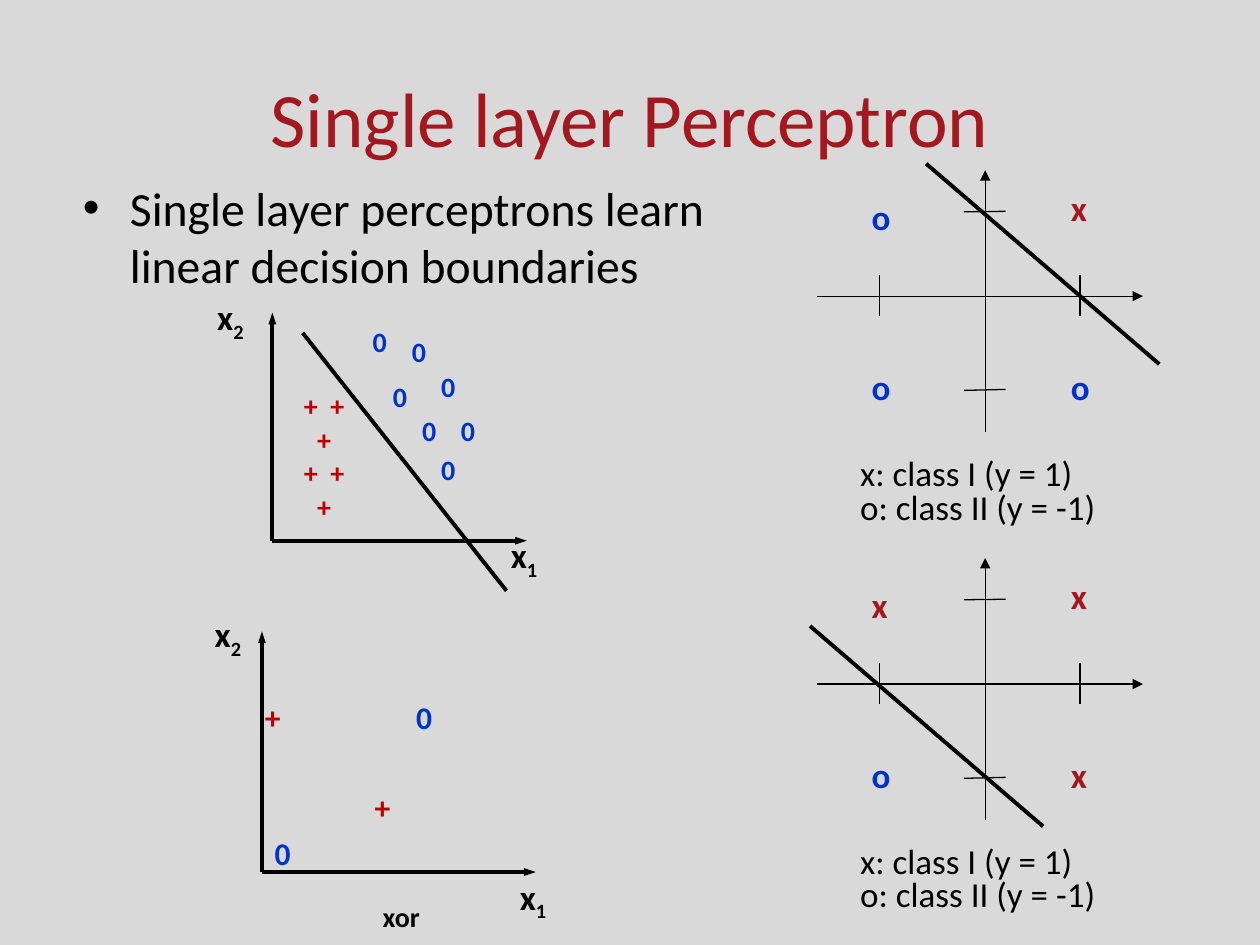
from copy import deepcopy
from dataclasses import dataclass

from lxml.etree import SubElement
from pptx import Presentation
from pptx.dml.color import RGBColor as Rgb
from pptx.enum.shapes import MSO_CONNECTOR as Link
from pptx.enum.text import MSO_ANCHOR as Anchor, MSO_AUTO_SIZE as Fit, PP_ALIGN as Align
from pptx.oxml.ns import qn
from pptx.util import Cm, Pt


@dataclass(frozen=True)
class Theme:
    font: str = "Calibri"
    background: str = "D9D9D9"
    ink: str = "000000"
    title: str = "A3171E"
    plus: str = "C00000"
    zero: str = "0033CC"
    title_size: float = 44
    body_size: float = 27.2
    label_size: float = 20
    mark_size: float = 18
    small_size: float = 16
    thick: float = 2.25
    thin: float = 0.75


THEME = Theme()
TITLE = "Single layer Perceptron"
POINT = "Single layer perceptrons learn linear decision boundaries"
LEGEND = ["x: class I (y = 1)", "o: class II (y = -1)"]

SCATTERS = [
    dict(
        origin=(5.49, 10.9), top=6.3, right=10.62,
        boundary=(6.1, 6.71, 10.21, 11.91),
        axis_size=(1.07, 1.04), axis_names={"1": (10.03, 10.72), "2": (4.11, 5.92)},
        mark_size=(0.79, 0.89), type_size=THEME.small_size,
        zeros=[(8.26, 8.23), (8.05, 6.63), (7.26, 6.43), (8.64, 7.34),
               (7.67, 7.54), (9.04, 8.23), (8.64, 9.02)],
        pluses=[],
        captions=[("+  +\v+\v+  + +", (5.72, 8.1, 1.63, 2.18), THEME.plus)],
    ),
    dict(
        origin=(5.28, 17.58), top=12.73, right=10.8,
        boundary=None,
        axis_size=(1.17, 1.09), axis_names={"1": (10.16, 17.58), "2": (4.01, 12.29)},
        mark_size=(0.84, 1.02), type_size=THEME.mark_size,
        zeros=[(8.13, 13.94), (5.28, 16.69)],
        pluses=[(7.29, 15.75), (5.08, 13.94)],
        captions=[("xor", (7.39, 18.01, 1.4, 0.94), THEME.ink)],
    ),
]

QUADRANT_SPOTS = [(21.34, 3.63), (21.34, 7.24), (17.32, 7.24), (17.32, 3.81)]
QUADRANT_AXES = [(16.46, 5.97, 23.04, 5.97), (19.86, 8.71, 19.86, 3.43)]
QUADRANT_TICKS = [
    (21.34, 5.97, 21.54, 5.97),
    (21.77, 5.54, 21.77, 6.38),
    (17.73, 5.54, 17.73, 6.38),
    (19.43, 7.87, 20.27, 7.85),
    (19.43, 4.27, 20.27, 4.26),
]
QUADRANT_PITCH = 7.82
BOUNDARY_RUN = (4.7, 4.04)
QUADRANTS = [("xooo", (18.67, 3.3)), ("xxox", (16.33, 12.62))]


def apply(target, **values):
    for name, value in values.items():
        setattr(target, name, value)


def style(runs, size, color, bold=False):
    for run in runs:
        apply(run.font, name=THEME.font, size=Pt(size), bold=bold)
        run.font.color.rgb = Rgb.from_string(color)


def write(shapes, lines, box, size, color, bold=True, align=Align.CENTER,
          anchor=Anchor.MIDDLE, wrap=True, fit=Fit.SHAPE_TO_FIT_TEXT,
          spacing=None, subscript=None):
    label = shapes.add_textbox(*map(Cm, box))
    frame = label.text_frame
    apply(frame, word_wrap=wrap, auto_size=fit, vertical_anchor=anchor)
    for index, line in enumerate(lines):
        paragraph = frame.add_paragraph() if index else frame.paragraphs[0]
        paragraph.text = line
        apply(paragraph, alignment=align, line_spacing=spacing)
        if subscript:
            paragraph.add_run().text = subscript
        style(paragraph.runs, size, color, bold)
        if subscript:
            paragraph.runs[-1].font._element.set("baseline", "-25000")
        for line_break in paragraph._p.findall(qn("a:br")):
            line_break.insert(0, deepcopy(paragraph.runs[0].font._element))
    return frame


def draw(shapes, ends, width, arrow=None):
    line = shapes.add_connector(Link.STRAIGHT, *map(Cm, ends))
    line.line.width = Pt(width)
    line.line.color.rgb = Rgb.from_string(THEME.ink)
    if arrow:
        SubElement(line.line._get_or_add_ln(), qn("a:tailEnd"), type="triangle", w=arrow, len="med")
    SubElement(line._element.spPr, qn("a:effectLst"))


def add_scatter(shapes, origin, top, right, boundary, axis_size, axis_names,
                mark_size, type_size, zeros, pluses, captions):
    x, y = origin
    for end in [(x, top), (right, y)]:
        draw(shapes, origin + end, THEME.thick, "sm")
    if boundary:
        draw(shapes, boundary, THEME.thick)
    for sign, spots, color in [("0", zeros, THEME.zero), ("+", pluses, THEME.plus)]:
        for spot in spots:
            write(shapes, [sign], spot + mark_size, type_size, color)
    for number, spot in axis_names.items():
        write(shapes, ["x"], spot + axis_size, THEME.label_size, THEME.ink,
              wrap=False, subscript=number)
    for text, box, color in captions:
        write(shapes, [text], box, THEME.small_size, color)


def add_quadrants(shapes, signs, start, drop):
    for lines, arrow in [(QUADRANT_AXES, "med"), (QUADRANT_TICKS, None)]:
        for x1, y1, x2, y2 in lines:
            draw(shapes, (x1, y1 + drop, x2, y2 + drop), THEME.thin, arrow)
    end = tuple(a + b for a, b in zip(start, BOUNDARY_RUN))
    draw(shapes, start + end, THEME.thick)
    for sign, (x, y) in zip(signs, QUADRANT_SPOTS):
        write(shapes, [sign], (x, y + drop, 0.84, 1.09), THEME.label_size,
              THEME.title if sign == "x" else THEME.zero,
              align=Align.LEFT, anchor=Anchor.TOP)
    write(shapes, LEGEND, (17.09, 9.14 + drop, 7.62, 1.63), THEME.label_size, THEME.ink,
          bold=False, align=Align.LEFT, anchor=Anchor.TOP, spacing=0.8)


deck = Presentation()
apply(deck, slide_width=Cm(25.4), slide_height=Cm(19.05))
slide = deck.slides.add_slide(deck.slide_layouts[5])
slide.background.fill.solid()
slide.background.fill.fore_color.rgb = Rgb.from_string(THEME.background)

heading = slide.shapes.title
apply(heading, left=Cm(1.27), top=Cm(0.76), width=Cm(22.86), height=Cm(3.18))
apply(heading.text_frame, text=TITLE, vertical_anchor=Anchor.MIDDLE)
heading.text_frame.paragraphs[0].alignment = Align.CENTER
style(heading.text_frame.paragraphs[0].runs, THEME.title_size, THEME.title)

point = write(slide.shapes, [POINT], (1.42, 3.48, 13.16, 3.05), THEME.body_size, THEME.ink,
              bold=False, align=Align.LEFT, anchor=Anchor.TOP, fit=Fit.NONE)
bullet = point.paragraphs[0]._p.get_or_add_pPr()
for side, indent in [("marL", 0.95), ("indent", -0.95)]:
    bullet.set(side, str(Cm(indent)))
SubElement(bullet, qn("a:buFont"), typeface="Arial")
SubElement(bullet, qn("a:buChar"), char="•")

for scatter in SCATTERS:
    add_scatter(slide.shapes.add_group_shape().shapes, **scatter)

quadrant_group = slide.shapes.add_group_shape().shapes
for row, (signs, start) in enumerate(QUADRANTS):
    add_quadrants(quadrant_group, signs, start, row * QUADRANT_PITCH)

deck.save("out.pptx")
